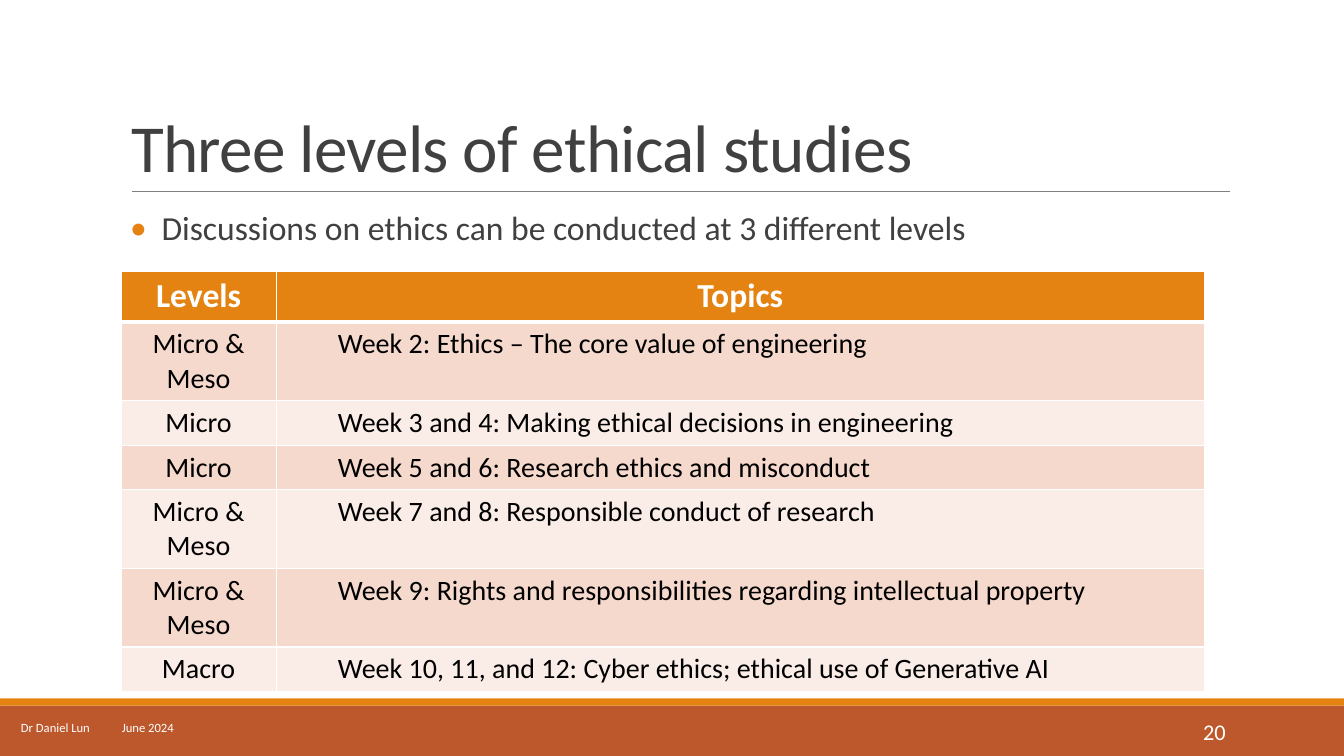
from dataclasses import dataclass

from lxml.etree import SubElement
from pptx import Presentation
from pptx.dml.color import RGBColor
from pptx.enum.shapes import MSO_CONNECTOR, MSO_SHAPE
from pptx.enum.text import MSO_ANCHOR, MSO_AUTO_SIZE, PP_ALIGN
from pptx.oxml import parse_xml
from pptx.oxml.ns import nsdecls, qn
from pptx.util import Cm, Pt


@dataclass(frozen=True)
class Theme:
    font: str = "Calibri"
    orange: str = "E48312"
    rust: str = "BD582C"
    gray: str = "404040"
    rule: str = "808080"
    white: str = "FFFFFF"
    black: str = "000000"
    bands: tuple = ("F5D9CC", "FAEDE7")
    title: int = 48
    lead: int = 24
    cell: int = 20
    number: int = 16
    credit: int = 9


theme = Theme()


def write(frame, text, size, color, bold=False, align=PP_ALIGN.LEFT, anchor=MSO_ANCHOR.TOP,
          line=None, after=0, indent=0, bullet=None, tab=None, tracking=None):
    frame.word_wrap = True
    frame.vertical_anchor = anchor
    paragraph = frame.paragraphs[0]
    props = paragraph._p.get_or_add_pPr()
    props.set("marL", str(Cm(indent)))
    props.set("indent", str(-Cm(indent) if bullet else 0))
    if bullet:
        props.append(parse_xml(f'<a:buClr {nsdecls("a")}><a:srgbClr val="{theme.orange}"/></a:buClr>'))
        props.append(parse_xml(f'<a:buFont {nsdecls("a")} typeface="{theme.font}"/>'))
        props.append(parse_xml(f'<a:buChar {nsdecls("a")} char="{bullet}"/>'))
    if tab:
        tabs = SubElement(props, qn("a:tabLst"))
        SubElement(tabs, qn("a:tab"), pos=str(Cm(tab)), algn="l")
    paragraph.alignment = align
    paragraph.line_spacing = line
    paragraph.space_before = Pt(0)
    paragraph.space_after = Pt(after)
    run = paragraph.add_run()
    run.text = text
    run.font.name = theme.font
    run.font.size = Pt(size)
    run.font.bold = bold
    run.font.color.rgb = RGBColor.from_string(color)
    if tracking:
        run._r.get_or_add_rPr().set("spc", str(tracking))


def place(part, left, top, width, height):
    part.left, part.top, part.width, part.height = Cm(left), Cm(top), Cm(width), Cm(height)


deck = Presentation()
deck.slide_width, deck.slide_height = Cm(33.87), Cm(19.05)
slide = deck.slides.add_slide(deck.slide_layouts[1])

for color, top, height in ((theme.rust, 17.78, 1.27), (theme.orange, 17.6, 0.18)):
    band = slide.shapes.add_shape(MSO_SHAPE.RECTANGLE, 0, Cm(top), deck.slide_width, Cm(height))
    band.shadow.inherit = False
    band.fill.solid()
    band.fill.fore_color.rgb = RGBColor.from_string(color)
    band.line.fill.background()

title_rule = slide.shapes.add_connector(MSO_CONNECTOR.STRAIGHT, Cm(3.33), Cm(4.82), Cm(31), Cm(4.82))
title_rule.line.color.rgb = RGBColor.from_string(theme.rule)
title_rule.line.width = Pt(0.5)
SubElement(title_rule._element.spPr, qn("a:effectLst"))

heading = slide.shapes.title
place(heading, 3.05, 0.79, 27.94, 4.04)
heading.text_frame.auto_size = MSO_AUTO_SIZE.NONE
write(heading.text_frame, "Three levels of ethical studies", theme.title, theme.gray,
      anchor=MSO_ANCHOR.BOTTOM, line=0.85, tracking=-50)

lead = slide.placeholders[1]
place(lead, 3.28, 5.21, 28.58, 12.04)
lead.text_frame.auto_size = MSO_AUTO_SIZE.NONE
lead.text_frame.margin_left = lead.text_frame.margin_right = 0
write(lead.text_frame, "Discussions on ethics can be conducted at 3 different levels",
      theme.lead, theme.gray, line=0.9, after=2, indent=0.79, bullet="•")

schedule = (
    ("Levels", "Topics"),
    ("Micro & Meso", "Week 2: Ethics – The core value of engineering"),
    ("Micro", "Week 3 and 4: Making ethical decisions in engineering"),
    ("Micro", "Week 5 and 6: Research ethics and misconduct"),
    ("Micro & Meso", "Week 7 and 8: Responsible conduct of research"),
    ("Micro & Meso", "Week 9: Rights and responsibilities regarding intellectual property"),
    ("Macro", "Week 10, 11, and 12: Cyber ethics; ethical use of Generative AI"),
)
levels = slide.shapes.add_table(len(schedule), 2, Cm(3.05), Cm(6.83), Cm(27.3), Cm(7.28)).table
levels.columns[0].width, levels.columns[1].width = Cm(3.91), Cm(23.39)

for row, entries in enumerate(schedule):
    levels.rows[row].height = Cm(1.04)
    header = row == 0
    for column, entry in enumerate(entries):
        cell = levels.cell(row, column)
        for side in "LRTB":
            thick = (header and side == "B") or (row == 1 and side == "T")
            cell._tc.get_or_add_tcPr().append(parse_xml(
                f'<a:ln{side} {nsdecls("a")} w="{Pt(3 if thick else 1)}"><a:solidFill>'
                f'<a:srgbClr val="{theme.white}"/></a:solidFill></a:ln{side}>'))
        cell.fill.solid()
        cell.fill.fore_color.rgb = RGBColor.from_string(theme.orange if header else theme.bands[(row - 1) % 2])
        centered = header or column == 0
        write(cell.text_frame, entry, theme.lead if header else theme.cell,
              theme.white if header else theme.black, bold=header,
              align=PP_ALIGN.CENTER if centered else PP_ALIGN.LEFT, indent=0 if centered else 1.3)

page_number = slide.shapes.add_textbox(Cm(27.51), Cm(17.93), Cm(3.63), Cm(1.02))
write(page_number.text_frame, "20", theme.number, theme.white, align=PP_ALIGN.RIGHT, anchor=MSO_ANCHOR.MIDDLE)

credit = slide.shapes.add_textbox(Cm(0.28), Cm(17.83), Cm(6.86), Cm(1.02))
write(credit.text_frame, "Dr Daniel Lun\tJune 2024", theme.credit, theme.white, anchor=MSO_ANCHOR.MIDDLE, tab=2.03)

deck.save("out.pptx")
